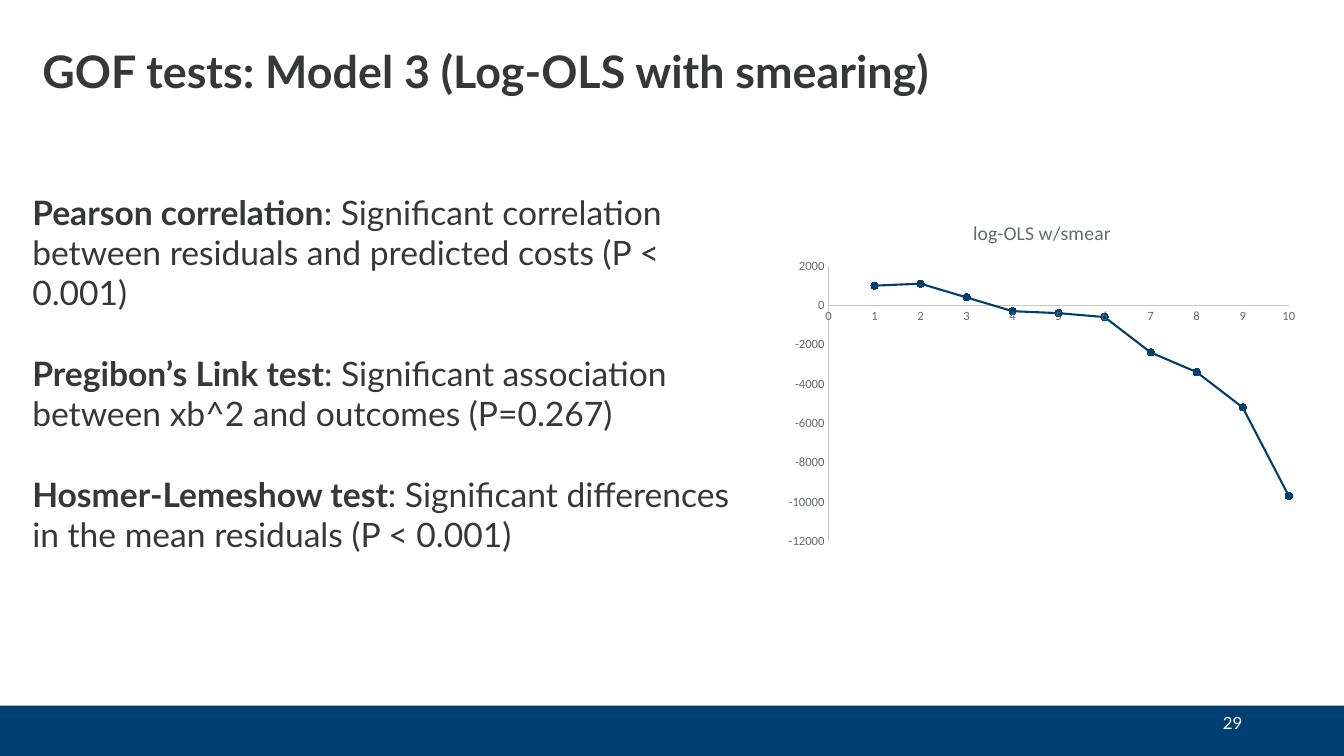
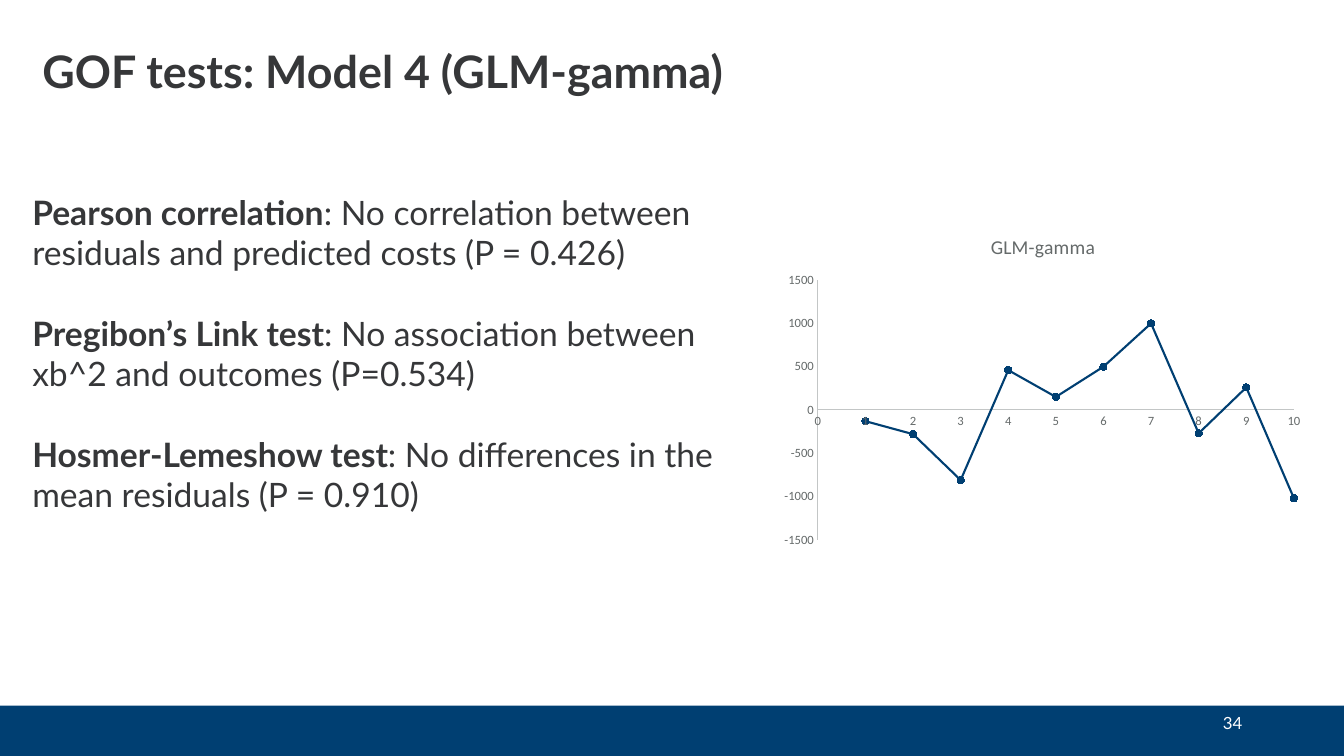
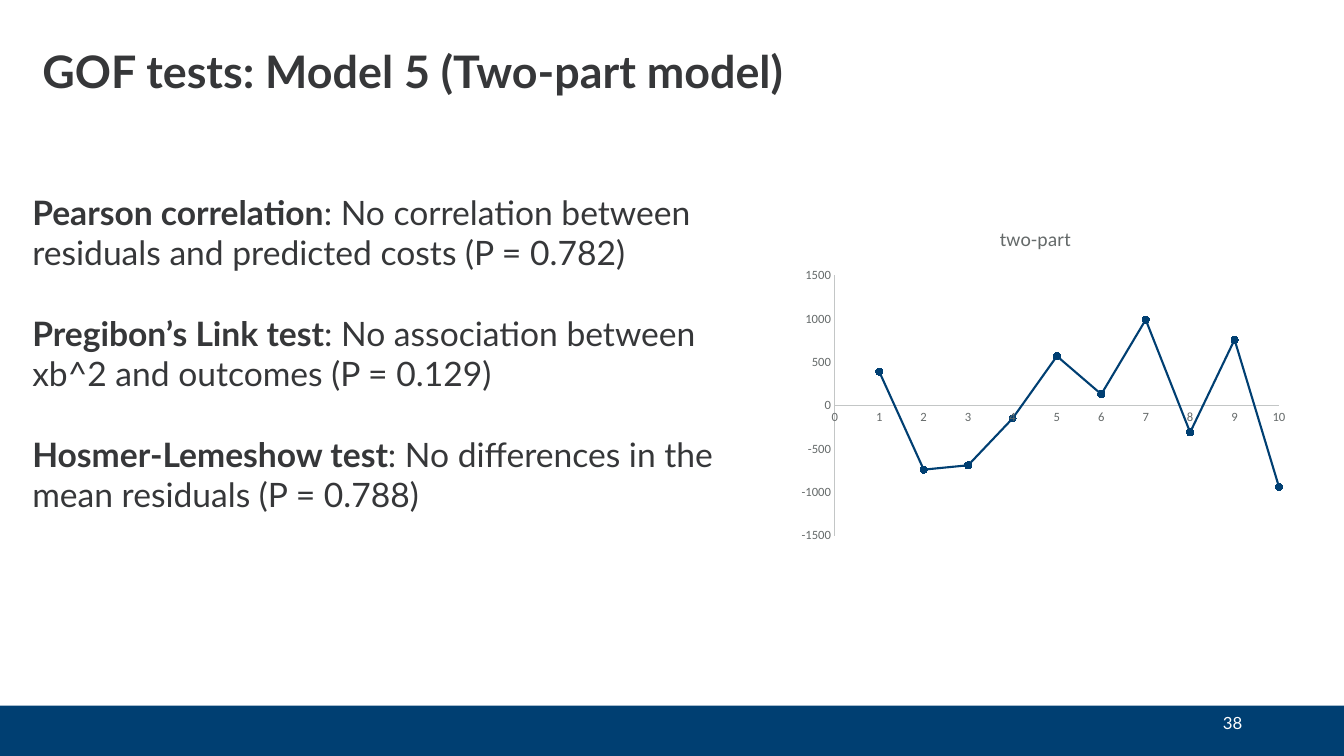
from pptx import Presentation
from pptx.chart.data import XyChartData
from pptx.dml.color import RGBColor as Rgb
from pptx.enum.chart import XL_CHART_TYPE as Kind, XL_MARKER_STYLE as Mark, XL_TICK_MARK as Tick
from pptx.enum.shapes import MSO_SHAPE as Form
from pptx.enum.text import MSO_ANCHOR as Anchor, MSO_AUTO_SIZE as Fit, PP_ALIGN as Align
from pptx.oxml import parse_xml
from pptx.oxml.ns import nsdecls
from pptx.util import Inches, Pt

COLORS = {"navy": "003F72", "ink": "363739", "white": "FFFFFF",
          "label": "656A6A", "axis": "C3C6C6", "chart": "151616"}
WIDE, HIGH = 13.33, 7.5
TESTS = ("Pearson correlation", "Pregibon’s Link test", "Hosmer-Lemeshow test")

SLIDES = [
    dict(title="GOF tests: Model 3 (Log-OLS with smearing)", page="29", width=7.29,
         notes=(": Significant correlation between residuals and predicted costs (P < 0.001)",
                ": Significant association between xb^2 and outcomes (P=0.267)",
                ": Significant differences in the mean residuals (P < 0.001)"),
         plot=dict(box=(7.72, 2.02, 5.23, 3.5), name="log-OLS w/smear",
                   vals=(1000, 1100, 400, -300, -400, -600, -2400, -3400, -5200, -9700),
                   span=(-12000, 2000, 2000), inner=(0.095, 0.177, 0.873, 0.78))),
    dict(title="GOF tests: Model 4 (GLM-gamma)", page="34", width=7.28,
         notes=(": No correlation between residuals and predicted costs (P = 0.426)",
                ": No association between xb^2 and outcomes (P=0.534)",
                ": No differences in the mean residuals (P = 0.910)"),
         plot=dict(box=(7.68, 2.16, 5.33, 3.33), name="GLM-gamma",
                   vals=(-130, -280, -810, 460, 150, 500, 1000, -270, 260, -1020),
                   span=(-1500, 1500, 500), inner=(0.081, 0.186, 0.886, 0.774))),
    dict(title="GOF tests: Model 5 (Two-part model)", page="38", width=7.4,
         notes=(": No correlation between residuals and predicted costs (P = 0.782)",
                ": No association between xb^2 and outcomes (P = 0.129)",
                ": No differences in the mean residuals (P = 0.788)"),
         plot=dict(box=(7.7, 2.08, 5.14, 3.32), name="two-part",
                   vals=(390, -740, -690, -150, 570, 130, 990, -310, 760, -940),
                   span=(-1500, 1500, 500), inner=(0.113, 0.197, 0.857, 0.777))),
]


def tint(name):
    """Return the named colour."""
    return Rgb.from_string(COLORS[name])


def style(font, size, color, face="Lato", bold=False):
    """Format a font."""
    font.name, font.size, font.bold = face, Pt(size), bold
    font.color.rgb = tint(color)


def write(para, text, size=24, color="ink", **kw):
    """Add a formatted run to a paragraph."""
    run = para.add_run()
    run.text = text
    style(run.font, size, color, **kw)


def place(shape, box):
    """Move and size a shape."""
    shape.left, shape.top, shape.width, shape.height = map(Inches, box)


def head(slide, text, box):
    """Fill the title placeholder."""
    shape = slide.shapes.title
    place(shape, box)
    frame = shape.text_frame
    frame.auto_size, frame.vertical_anchor = Fit.NONE, Anchor.MIDDLE
    para = frame.paragraphs[0]
    para.alignment, para.line_spacing = Align.LEFT, 0.9
    write(para, text, size=32, bold=True)


def body(slide, notes, box):
    """List the test findings in the body placeholder."""
    shape = slide.placeholders[1]
    place(shape, box)
    frame = shape.text_frame
    frame.auto_size, frame.vertical_anchor = Fit.NONE, Anchor.TOP
    for num, (test, note) in enumerate(zip(TESTS, notes)):
        para = frame.add_paragraph() if num else frame.paragraphs[0]
        para.space_before, para.space_after = Pt(0), Pt(28.8)
        props = para._p.get_or_add_pPr()
        props.set("marL", "0")
        props.set("indent", "0")
        props.append(parse_xml(f"<a:buNone {nsdecls('a')}/>"))
        write(para, test, bold=True)
        write(para, note)


def foot(slide, page, box):
    """Draw the bottom band and the page number."""
    left, top, width, _ = box
    band = slide.shapes.add_shape(Form.RECTANGLE, *map(Inches, box))
    band.shadow.inherit = False
    band.fill.solid()
    band.fill.fore_color.rgb = tint("navy")
    band.line.fill.background()
    spot = (left + width - 3.91, top, 3, 0.35)
    frame = slide.shapes.add_textbox(*map(Inches, spot)).text_frame
    frame.word_wrap, frame.vertical_anchor = True, Anchor.MIDDLE
    para = frame.paragraphs[0]
    para.alignment = Align.RIGHT
    write(para, page, size=12, color="white")


def scale(axis, low, high, step):
    """Set the range and look of an axis."""
    axis.minimum_scale, axis.maximum_scale, axis.major_unit = low, high, step
    axis.has_major_gridlines = False
    axis.major_tick_mark = axis.minor_tick_mark = Tick.NONE
    axis.format.line.color.rgb = tint("axis")
    axis.format.line.width = Pt(0.75)
    style(axis.tick_labels.font, 9, "label", face="Calibri")


def inset(chart, inner):
    """Fix the inner plot area as fractions of the chart."""
    area = chart.element.xpath("c:chart/c:plotArea")[0]
    for old in area.xpath("c:layout"):
        area.remove(old)
    modes = '<c:xMode val="edge"/><c:yMode val="edge"/>'
    sizes = "".join(f'<c:{key} val="{val}"/>' for key, val in zip("xywh", inner))
    area.insert(0, parse_xml(
        f'<c:layout {nsdecls("c")}><c:manualLayout><c:layoutTarget val="inner"/>'
        f"{modes}{sizes}</c:manualLayout></c:layout>"))


def graph(slide, box, name, vals, span, inner):
    """Plot mean residuals by decile."""
    data = XyChartData()
    points = data.add_series(name)
    for x, y in enumerate(vals, 1):
        points.add_data_point(x, y)
    chart = slide.shapes.add_chart(Kind.XY_SCATTER_LINES, *map(Inches, box), data).chart
    style(chart.font, 10, "chart", face="Calibri")
    chart.has_legend = False
    chart.has_title = True
    chart.chart_title.include_in_layout = False
    write(chart.chart_title.text_frame.paragraphs[0], name,
          size=14, color="label", face="Calibri")
    scale(chart.category_axis, 0, 10, 1)
    scale(chart.value_axis, *span)
    inset(chart, inner)
    chart.plots[0].vary_by_categories = False
    line = chart.plots[0].series[0]
    line.smooth = False
    line.format.line.color.rgb = tint("navy")
    line.format.line.width = Pt(1.5)
    mark = line.marker
    mark.style, mark.size = Mark.CIRCLE, 5
    mark.format.fill.solid()
    mark.format.fill.fore_color.rgb = tint("navy")
    mark.format.line.color.rgb = tint("navy")


def build(deck, title, page, width, notes, plot):
    """Add one goodness-of-fit slide."""
    slide = deck.slides.add_slide(deck.slide_layouts[1])
    foot(slide, page, (0, 7, WIDE, 0.5))
    head(slide, title, (0.32, 0.32, 11.5, 0.83))
    body(slide, notes, (0.22, 1.85, width, 4.14))
    graph(slide, **plot)


def main():
    """Build and save the deck."""
    deck = Presentation()
    deck.slide_width, deck.slide_height = Inches(WIDE), Inches(HIGH)
    for item in SLIDES:
        build(deck, **item)
    deck.save("out.pptx")


if __name__ == "__main__":
    main()
